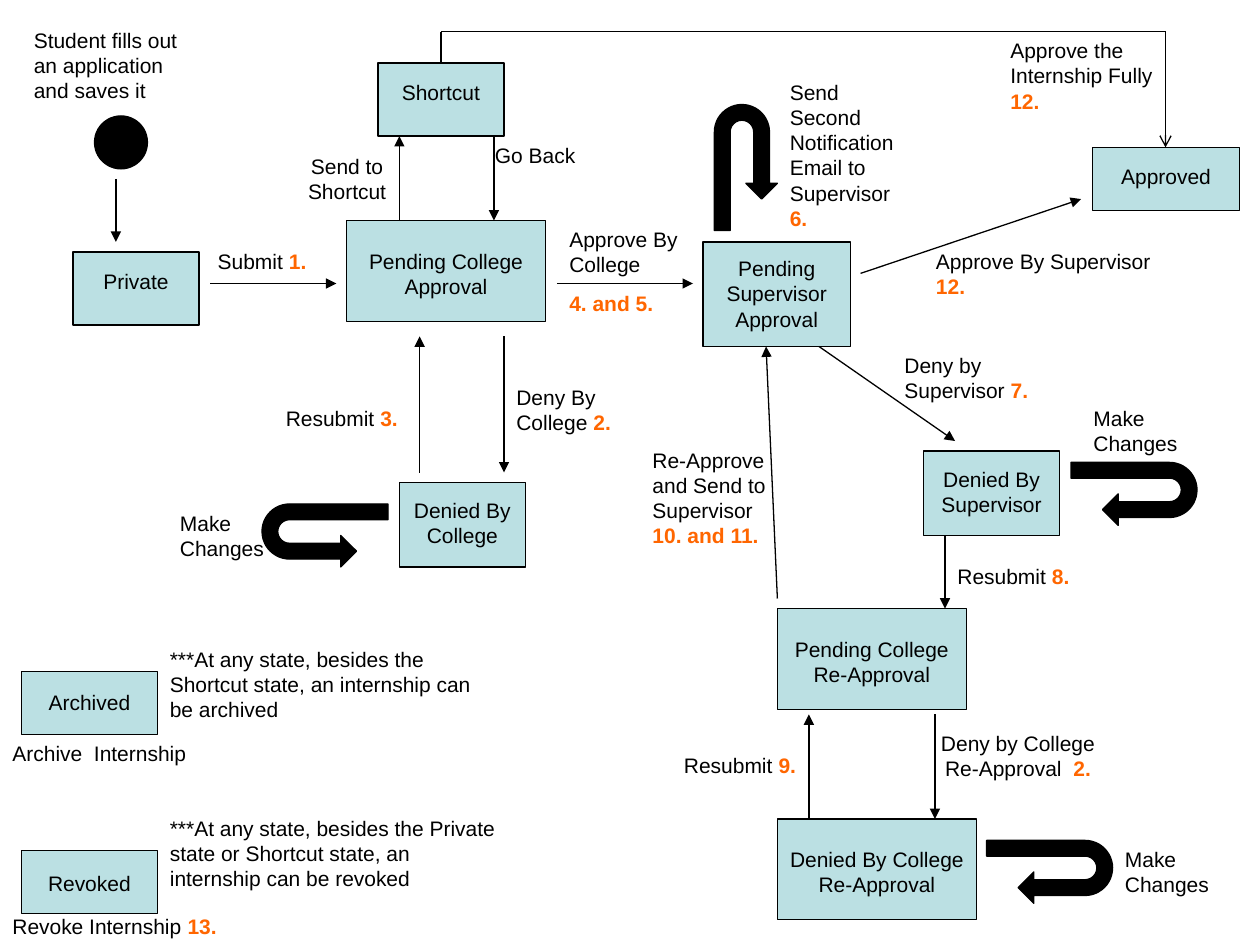
from lxml import etree
from pptx import Presentation
from pptx.dml.color import RGBColor
from pptx.enum import shapes, text
from pptx.oxml.ns import qn
from pptx.util import Inches, Pt

COLORS = {"state": "BBE0E3", "ink": "000000", "step": "FF6600"}
FONT, SIZE = "Arial", 12
LEFT, CENTER = text.PP_ALIGN.LEFT, text.PP_ALIGN.CENTER

# name, left, top, width, height, label offset, label height
STATES = [
    ("Private", 0.58, 2, 1, 0.58, 0.08, 0.3),
    ("Revoked", 0.17, 6.75, 1.08, 0.5, 0.11, 0.3),
    ("Approved", 8.67, 1.17, 1.17, 0.5, 0.08, 0.3),
    ("Pending College Approval", 2.75, 1.75, 1.58, 0.8, 0.17, 0.5),
    ("Pending Supervisor Approval", 5.58, 1.92, 1.17, 0.83, 0.06, 0.7),
    ("Denied By College", 3.17, 3.83, 1, 0.67, 0.07, 0.5),
    ("Denied By Supervisor", 7.33, 3.58, 1.08, 0.67, 0.07, 0.5),
    ("Pending College Re-Approval", 6.17, 4.83, 1.5, 0.8, 0.17, 0.5),
    ("Denied By College Re-Approval", 6.17, 6.5, 1.58, 0.8, 0.17, 0.5),
    ("Archived", 0.17, 5.33, 1.08, 0.5, 0.09, 0.3),
    ("Shortcut", 3, 0.5, 1, 0.58, 0.08, 0.3),
]

# start, end, arrowhead
ARROWS = [
    ((1.67, 2.25), (2.67, 2.25), "triangle"),
    ((4, 2.67), (4, 3.75), "triangle"),
    ((4.42, 2.25), (5.5, 2.25), "triangle"),
    ((3.33, 3.75), (3.33, 2.67), "triangle"),
    ((6.83, 2.17), (8.58, 1.58), "triangle"),
    ((6.5, 2.75), (7.58, 3.5), "triangle"),
    ((7.5, 4.25), (7.5, 4.83), "triangle"),
    ((6.17, 4.75), (6.08, 2.75), "triangle"),
    ((7.42, 5.67), (7.42, 6.5), "triangle"),
    ((6.42, 6.5), (6.42, 5.67), "triangle"),
    ((3.17, 1.75), (3.17, 1.08), "triangle"),
    ((3.92, 1.08), (3.92, 1.75), "triangle"),
    ((3.5, 0.5), (3.5, 0.25), None),
    ((3.5, 0.25), (9.25, 0.25), None),
    ((9.25, 0.25), (9.25, 1.17), "arrow"),
    ((0.92, 1.42), (0.92, 1.92), "triangle"),
]

# paragraphs of (wording, step number), left, top, width, height, alignment
LABELS = [
    ([("Deny By College ", "2.")], 4, 3, 1, 0.5, LEFT),
    ([("Resubmit ", "3.")], 2.17, 3.17, 1.17, 0.3, LEFT),
    ([("Submit ", "1.")], 1.58, 1.92, 1, 0.3, CENTER),
    ([("Approve By College", ""), ("", "4. and 5.")], 4.42, 1.75, 1.33, 0.81, LEFT),
    ([("Send Second Notification Email to Supervisor ", "6.")], 6.17, 0.58, 1.08, 1.3, LEFT),
    ([("Approve By Supervisor ", "12.")], 7.33, 1.92, 1.92, 0.5, LEFT),
    ([("Deny by Supervisor ", "7.")], 7.08, 2.75, 1.25, 0.5, LEFT),
    ([("Resubmit ", "8.")], 7.5, 4.42, 1.25, 0.3, LEFT),
    ([("Re-Approve and Send to Supervisor ", "10. and 11.")], 5.08, 3.5, 1.25, 0.9, LEFT),
    ([("Deny by College Re-Approval  ", "2.")], 7.33, 5.75, 1.5, 0.5, CENTER),
    ([("Resubmit ", "9.")], 5.33, 5.92, 1.25, 0.3, LEFT),
    ([("***At any state, besides the Private state or Shortcut state, "
       "an internship can be revoked", "")], 1.25, 6.42, 2.83, 0.7, LEFT),
    ([("***At any state, besides the Shortcut state, "
       "an internship can be archived", "")], 1.25, 5.08, 2.67, 0.7, LEFT),
    ([("Go Back", "")], 3.83, 1.08, 1, 0.3, LEFT),
    ([("Send to Shortcut", "")], 2.17, 1.17, 1.17, 0.5, CENTER),
    ([("Approve the Internship Fully ", "12.")], 7.92, 0.25, 1.58, 0.7, LEFT),
    ([("Student fills out an application and saves it", "")], 0.17, 0.17, 1.5, 0.7, LEFT),
    ([("Make Changes", "")], 1.33, 4, 1, 0.5, LEFT),
    ([("Make Changes", "")], 8.83, 6.67, 1, 0.5, LEFT),
    ([("Make Changes", "")], 8.58, 3.17, 1, 0.5, LEFT),
    ([("Revoke Internship ", "13.")], 0, 7.2, 2.42, 0.3, LEFT),
    ([("Archive  Internship", "")], 0, 5.83, 2.42, 0.3, LEFT),
]

# left, top, rotation, mirrored
LOOPS = [
    (2.33, 3.75, 270, True),
    (8.08, 6.42, 90, False),
    (8.75, 3.42, 90, False),
    (5.67, 0.83, 0, False),
]


def rgb(name):
    return RGBColor.from_string(COLORS[name])


def add_block(parent, kind, fill, *box):
    sp = parent.add_shape(kind, *map(Inches, box))
    sp.shadow.inherit = False
    sp.fill.solid()
    sp.fill.fore_color.rgb = rgb(fill)
    sp.line.color.rgb = rgb("ink")
    sp.line.width = Pt(0.75)
    return sp


def add_label(parent, paragraphs, x, y, w, h, align):
    tf = parent.add_textbox(*map(Inches, (x, y, w, h))).text_frame
    tf.word_wrap = True
    tf.auto_size = text.MSO_AUTO_SIZE.SHAPE_TO_FIT_TEXT
    for i, (wording, step) in enumerate(paragraphs):
        p = tf.add_paragraph() if i else tf.paragraphs[0]
        p.alignment = align
        if i:
            p.space_before = Pt(7.5)
        for content, color in ((wording, "ink"), (step, "step")):
            if content:
                r = p.add_run()
                r.text = content
                r.font.name, r.font.size = FONT, Pt(SIZE)
                r.font.bold = color == "step"
                r.font.color.rgb = rgb(color)


def add_arrow(parent, start, end, head):
    c = parent.add_connector(shapes.MSO_CONNECTOR.STRAIGHT, *map(Inches, start + end))
    c.line.color.rgb = rgb("ink")
    c.line.width = Pt(0.75)
    if head:
        etree.SubElement(c.line._get_or_add_ln(), qn("a:tailEnd"), type=head)
    etree.SubElement(c._element.spPr, qn("a:effectLst"))


def main():
    prs = Presentation()
    prs.slide_width, prs.slide_height = Inches(10), Inches(7.5)
    s = prs.slides.add_slide(prs.slide_layouts[6])
    shape = shapes.MSO_SHAPE

    for name, x, y, w, h, offset, label_h in STATES:
        group = s.shapes.add_group_shape().shapes
        add_block(group, shape.RECTANGLE, "state", x, y, w, h)
        add_label(group, [(name, "")], x, y + offset, w, label_h, CENTER)
    for arrow in ARROWS:
        add_arrow(s.shapes, *arrow)
    add_block(s.shapes, shape.OVAL, "ink", 0.75, 0.92, 0.42, 0.42)
    for x, y, rotation, mirrored in LOOPS:
        sp = add_block(s.shapes, shape.U_TURN_ARROW, "ink", x, y, 0.5, 1)
        sp.rotation = rotation
        if mirrored:
            sp._element.spPr.find(qn("a:xfrm")).set("flipH", "1")
    for label in LABELS:
        add_label(s.shapes, *label)

    prs.save("out.pptx")


if __name__ == "__main__":
    main()
